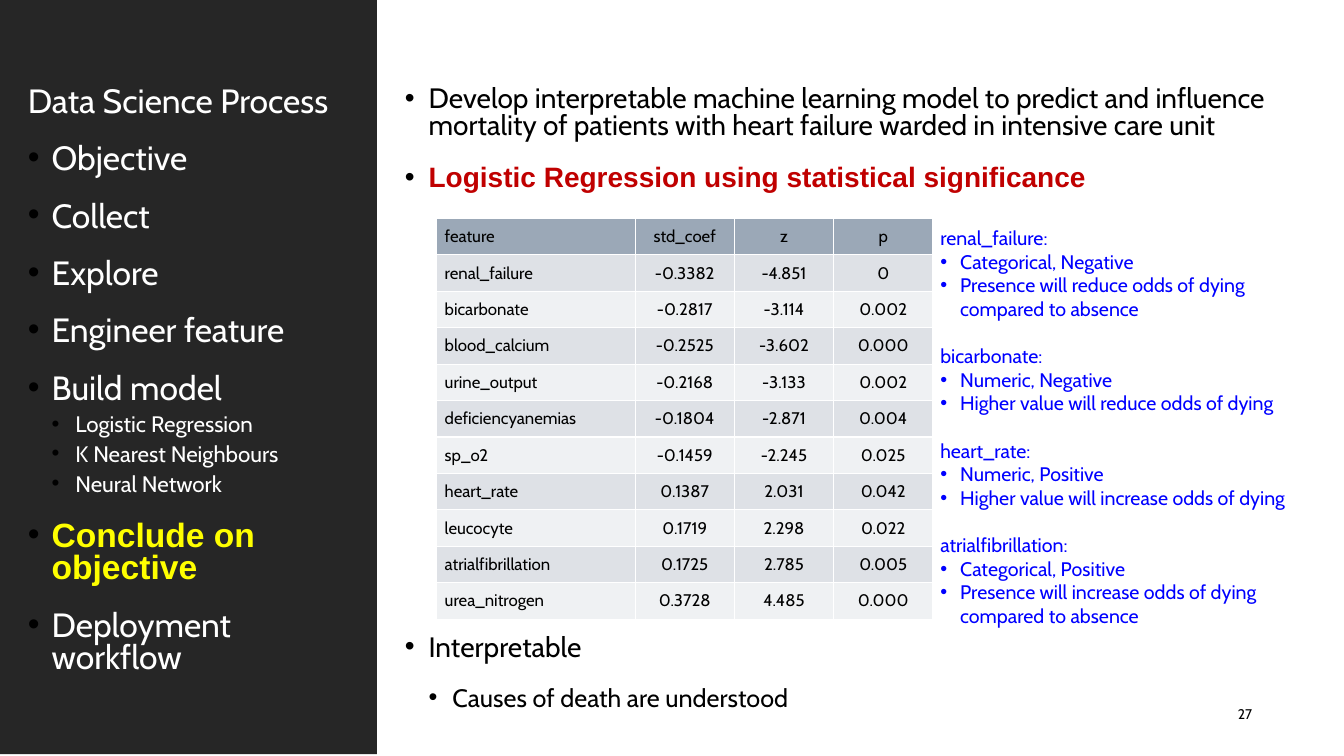
"""Build the slide that concludes the logistic regression model on the objective."""
from lxml import etree
from pptx import Presentation
from pptx.dml.color import RGBColor
from pptx.enum.shapes import MSO_SHAPE
from pptx.enum.text import MSO_ANCHOR, MSO_AUTO_SIZE, PP_ALIGN
from pptx.oxml.ns import qn
from pptx.util import Pt

RECTANGLE = MSO_SHAPE.RECTANGLE
MIDDLE, BOTTOM = MSO_ANCHOR.MIDDLE, MSO_ANCHOR.BOTTOM
NO_AUTOFIT = MSO_AUTO_SIZE.NONE
LEFT, CENTER = PP_ALIGN.LEFT, PP_ALIGN.CENTER
BLACK = RGBColor(0x00, 0x00, 0x00)
WHITE = RGBColor(0xFF, 0xFF, 0xFF)
CHARCOAL = RGBColor(0x26, 0x26, 0x26)
YELLOW = RGBColor(0xFF, 0xFF, 0x00)
RED = RGBColor(0xC0, 0x00, 0x00)
BLUE = RGBColor(0x00, 0x00, 0xFF)
HEADER_GREY = RGBColor(0x9B, 0xA8, 0xB7)
BAND_DARK = RGBColor(0xDE, 0xE1, 0xE6)
BAND_LIGHT = RGBColor(0xEF, 0xF1, 0xF3)
INSET = Pt(5.67)


def prepare_frame(box, left, top, width, height):
    box.left, box.top, box.width, box.height = Pt(left), Pt(top), Pt(width), Pt(height)
    frame = box.text_frame
    frame.word_wrap = True
    frame.auto_size = NO_AUTOFIT
    frame.margin_left = frame.margin_right = frame.margin_top = frame.margin_bottom = INSET
    return frame


def format_paragraph(para, size, color, bold=False, margin=0, hanging=0, bullet_color=None,
                     line=1.0, before=0, after=0):
    para.alignment = LEFT
    para.line_spacing, para.space_before, para.space_after = line, Pt(before), Pt(after)
    for run in para.runs:
        run.font.size, run.font.bold = Pt(size), bold
        run.font.name = "Arial" if bold else "Cabin"
        run.font.color.rgb = color
    properties = para._p.get_or_add_pPr()
    properties.set("marL", str(Pt(margin)))
    properties.set("indent", str(Pt(-hanging)))
    if hanging:
        paint = etree.SubElement(properties, qn("a:buClr"))
        etree.SubElement(paint, qn("a:srgbClr"), val=str(bullet_color))
        etree.SubElement(properties, qn("a:buFont"), typeface="Arial")
        etree.SubElement(properties, qn("a:buChar"), char="•")
    else:
        etree.SubElement(properties, qn("a:buNone"))


deck = Presentation()
deck.slide_width, deck.slide_height = Pt(960), Pt(540)
page = deck.slides.add_slide(deck.slide_layouts[3])
title, process_box, findings_box = page.placeholders
title.element.getparent().remove(title.element)

sidebar = page.shapes.add_shape(RECTANGLE, Pt(0), Pt(0), Pt(269.3), Pt(538.6))
sidebar.shadow.inherit = False
sidebar.fill.solid()
sidebar.fill.fore_color.rgb = CHARCOAL
sidebar.line.fill.background()
process_box.element.addprevious(sidebar.element)

# text, level, space after
process_steps = [
    ("Data Science Process", 0, 18),
    ("Objective", 0, 18),
    ("Collect", 0, 18),
    ("Explore", 0, 18),
    ("Engineer feature", 0, 18),
    ("Build model", 0, 6),
    ("Logistic Regression", 1, 6),
    ("K Nearest Neighbours", 1, 6),
    ("Neural Network", 1, 18),
    ("Conclude on objective", 0, 18),
    ("Deployment workflow", 0, 18),
]
frame = prepare_frame(process_box, 14.2, 56.7, 241, 425.5)
frame.text = "\n".join(text for text, level, after in process_steps)
for index, (para, (text, level, after)) in enumerate(zip(frame.paragraphs, process_steps)):
    para.level = level
    current = text == "Conclude on objective"
    hanging = 17 if index else 0
    format_paragraph(para, 16 if level else 24, YELLOW if current else WHITE, current,
                     hanging * (level + 1), hanging, BLACK, 0.8, 0, after)

# text, level, size, color, bold, space before
findings = [
    ("Develop interpretable machine learning model to predict and influence mortality of "
     "patients with heart failure warded in intensive care unit", 0, 20, BLACK, False, 0),
    ("Logistic Regression using statistical significance", 0, 20, RED, True, 0),
    ("Interpretable", 0, 20, BLACK, False, 298),
    ("Causes of death are understood", 1, 18, BLACK, False, 0),
]
frame = prepare_frame(findings_box, 283.5, 56.7, 652, 425.5)
frame.text = "\n".join(finding[0] for finding in findings)
for para, (text, level, size, color, bold, before) in zip(frame.paragraphs, findings):
    para.level = level
    format_paragraph(para, size, color, bold, 17 * (level + 1), 17, BLACK, 0.8, before, 18)

number_box = page.shapes.add_textbox(0, 0, 0, 0)
frame = prepare_frame(number_box, 878.5, 496, 57, 28)
frame.vertical_anchor = MIDDLE
frame.text = "27"
format_paragraph(frame.paragraphs[0], 10, BLACK)

coefficients = [
    ("feature", "std_coef", "z", "p"),
    ("renal_failure", "-0.3382", "-4.851", "0"),
    ("bicarbonate", "-0.2817", "-3.114", "0.002"),
    ("blood_calcium", "-0.2525", "-3.602", "0.000"),
    ("urine_output", "-0.2168", "-3.133", "0.002"),
    ("deficiencyanemias", "-0.1804", "-2.871", "0.004"),
    ("sp_o2", "-0.1459", "-2.245", "0.025"),
    ("heart_rate", "0.1387", "2.031", "0.042"),
    ("leucocyte", "0.1719", "2.298", "0.022"),
    ("atrialfibrillation", "0.1725", "2.785", "0.005"),
    ("urea_nitrogen", "0.3728", "4.485", "0.000"),
]
table = page.shapes.add_table(len(coefficients), 4, Pt(312), Pt(156), Pt(354.4), Pt(283)).table
for column, width in zip(table.columns, (141.7, 70.9, 70.9, 70.9)):
    column.width = Pt(width)
for row, values in enumerate(coefficients):
    for column, value in enumerate(values):
        cell = table.cell(row, column)
        cell.text = value
        cell.vertical_anchor = BOTTOM
        cell.margin_left = cell.margin_right = cell.margin_top = cell.margin_bottom = INSET
        cell.fill.solid()
        band = BAND_DARK if row % 2 else BAND_LIGHT
        cell.fill.fore_color.rgb = band if row else HEADER_GREY
        para = cell.text_frame.paragraphs[0]
        format_paragraph(para, 12, BLACK)
        para.alignment = CENTER if column else LEFT

interpretations = [
    ("renal_failure:", "Categorical, Negative",
     "Presence will reduce odds of dying compared to absence"),
    ("bicarbonate:", "Numeric, Negative", "Higher value will reduce odds of dying"),
    ("heart_rate:", "Numeric, Positive", "Higher value will increase odds of dying"),
    ("atrialfibrillation:", "Categorical, Positive",
     "Presence will increase odds of dying compared to absence"),
]
notes_box = page.shapes.add_textbox(0, 0, 0, 0)
frame = prepare_frame(notes_box, 666, 156, 269.3, 297.6)
frame.text = "\n".join(line for group in interpretations for line in group)
for index, para in enumerate(frame.paragraphs):
    if index % 3:
        format_paragraph(para, 14, BLUE, margin=14.2, hanging=14.2, bullet_color=BLUE)
    else:
        format_paragraph(para, 14, BLUE, before=17 if index else 0)

deck.save("out.pptx")
